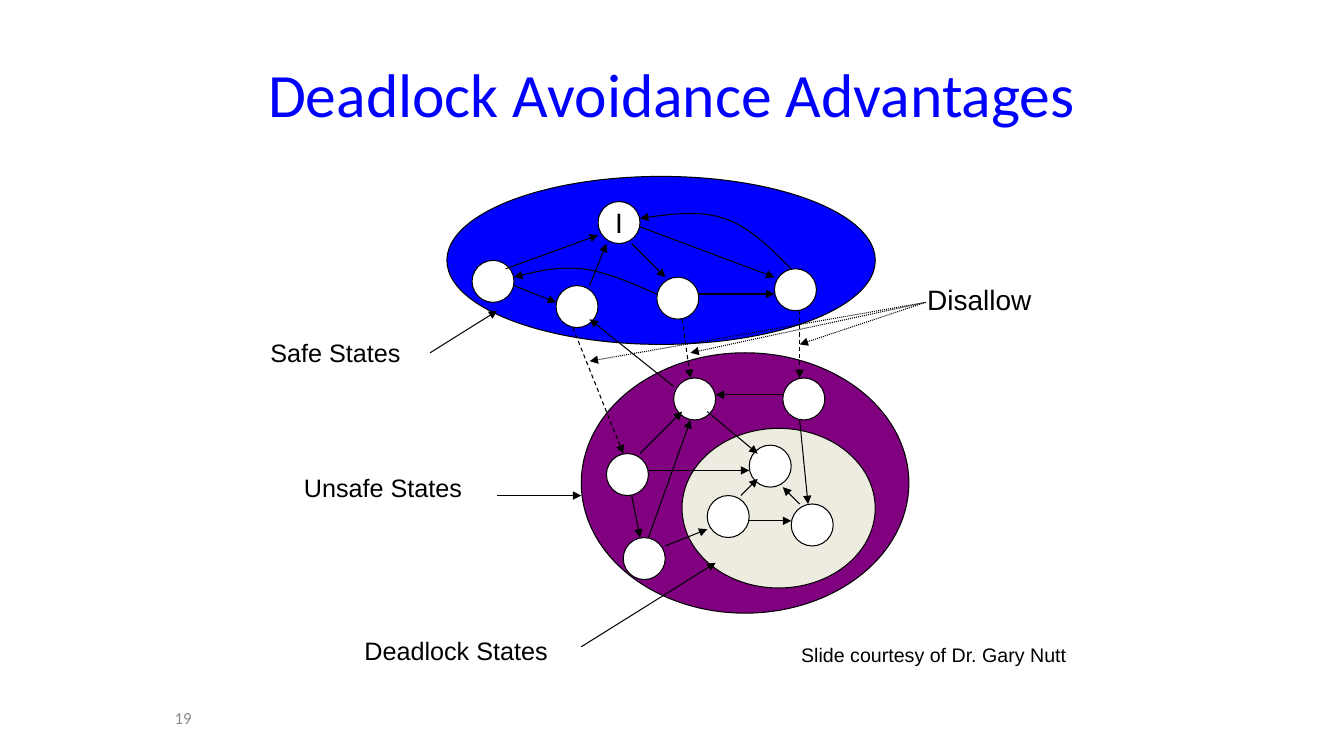
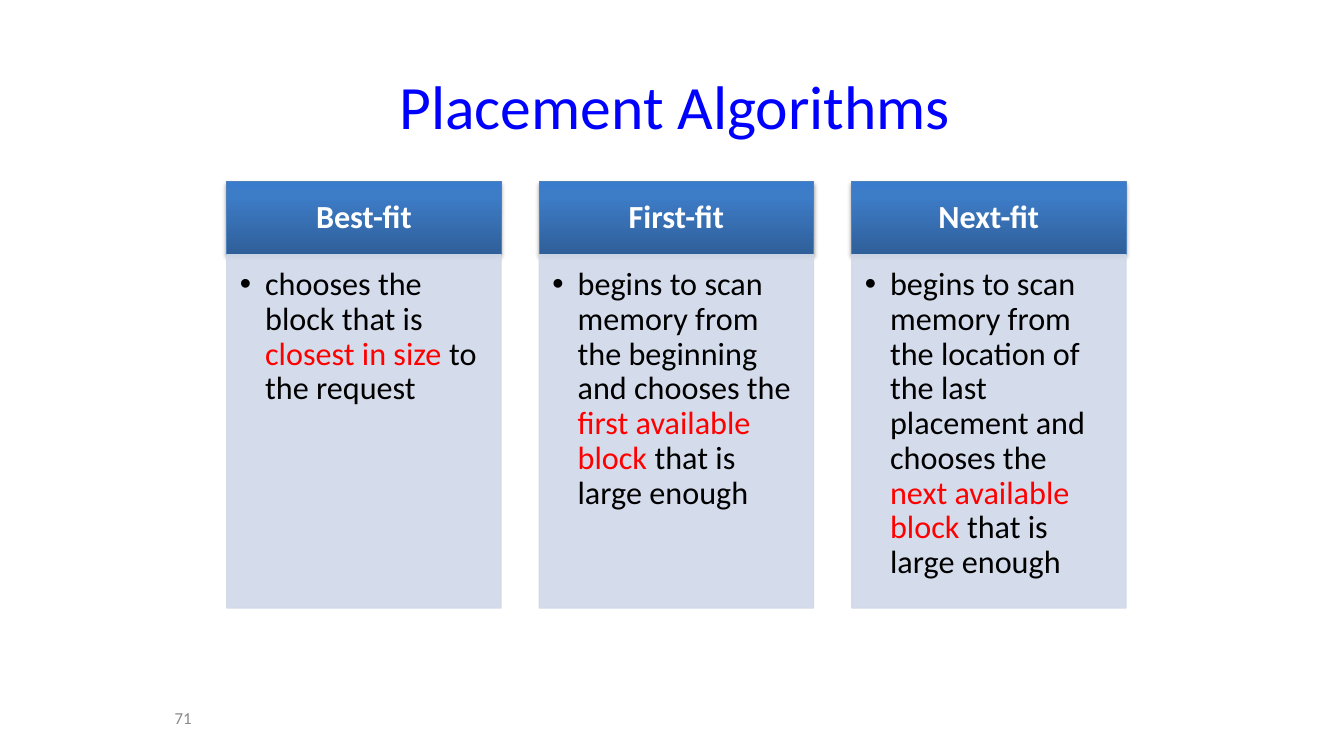
from copy import deepcopy
from pptx import Presentation
from pptx.dml.color import RGBColor as RGB
from pptx.enum.dml import MSO_LINE as Dash
from pptx.enum.shapes import MSO_CONNECTOR as Link, MSO_SHAPE as Kind
from pptx.enum.text import MSO_ANCHOR as Anchor, PP_ALIGN as Align
from pptx.oxml.ns import qn
from pptx.oxml.xmlchemy import OxmlElement as Elem
from pptx.util import Pt

BLACK = RGB(0x00, 0x00, 0x00)
WHITE = RGB(0xFF, 0xFF, 0xFF)
BLUE = RGB(0x00, 0x00, 0xFF)
RED = RGB(0xFF, 0x00, 0x00)
PURPLE = RGB(0x80, 0x00, 0x80)
CREAM = RGB(0xEE, 0xEC, 0xE1)
GRAY = RGB(0x89, 0x89, 0x89)
PALE = RGB(0xD0, 0xD8, 0xE8)
EDGE = RGB(0x4F, 0x81, 0xBD)
SHADES = [(0, RGB(0x2F, 0x5F, 0x99)), (0.8, RGB(0x3D, 0x7C, 0xC7)),
          (1, RGB(0x3A, 0x7C, 0xCB))]
INSET = (7.2, 3.6, 7.2, 3.6)

# State diagram, in grid units of 6 points
UNIT, SHIFT, NODE = 6, 1.2, 5
ZONES = [(53, 21, 51, 20, BLUE), (69, 42, 39, 31, PURPLE), (81, 51, 23, 19, CREAM)]
NODES = [(56, 31), (92, 32), (78, 33), (66, 34), (71, 24), (74, 64),
         (93, 45), (80, 45), (72, 54), (94, 60), (84, 59), (89, 53)]
START = (71, 24)
SOLID = [
    (89, 62, 94, 62), (88, 59, 90, 57), (95, 60, 93, 58), (79, 65, 84, 63),
    (75, 59, 76, 64), (61, 34, 66, 36), (60, 32, 71, 28), (75, 29, 79, 33),
    (70, 34, 72, 29), (83, 35, 92, 35), (76, 27, 92, 33), (80, 46, 70, 38),
    (77, 56, 89, 56), (76, 54, 81, 49), (95, 50, 96, 60), (84, 49, 90, 54),
    (93, 47, 85, 47), (77, 64, 82, 50),
    (69, 77, 85, 67), (59, 59, 69, 59), (51, 42, 59, 37)]
DASHED = [(81, 38, 82, 45), (68, 39, 74, 54), (95, 37, 95, 45)]
DOTTED = [(110, 36, 70, 43), (110, 36, 82, 42), (110, 36, 95, 41)]
CURVES = [
    [(78, 35), (75, 33.7), (71.8, 32.3), (69, 32), (66.2, 31.7), (63.6, 32.3), (61, 33)],
    [(94, 32), (91.5, 29.5), (89, 27), (86, 26), (83, 25), (79.5, 25.5), (76, 26)]]
LABELS = [("Safe States", 186, 237.6, 18), ("Unsafe States", 210, 333.6, 18),
          ("Deadlock States", 253.2, 450, 18), ("Disallow", 655.2, 198, 20),
          ("Slide courtesy of Dr. Gary Nutt", 565.2, 456, 14)]

# Cards: heading, then text before, in and after the red phrase
CARDS = [
    ("Best-fit", "chooses the block that is ", "closest in size ", "to the request"),
    ("First-fit", "begins to scan memory from the beginning and chooses the ",
     "first available block", " that is large enough"),
    ("Next-fit", "begins to scan memory from the location of the last placement "
     "and chooses the ", "next available block", " that is large enough")]
LEFT, STEP, WIDE = 162, 223.2, 196
TOP, HEAD, BODY = 129.8, 52, 252.6


def write(shape, parts, size, font="Calibri", align=Align.LEFT,
          anchor=Anchor.TOP, inset=INSET, bold=False, wrap=True):
    """Fill one paragraph with (text, colour) runs."""
    frame = shape.text_frame
    frame.word_wrap, frame.vertical_anchor = wrap, anchor
    (frame.margin_left, frame.margin_top,
     frame.margin_right, frame.margin_bottom) = map(Pt, inset)
    para = frame.paragraphs[0]
    para.alignment = align
    for text, color in parts:
        run = para.add_run()
        run.text = text
        run.font.name, run.font.size, run.font.bold = font, Pt(size), bold
        run.font.color.rgb = color
    return para


def label(slide, box, *args, **style):
    write(slide.shapes.add_textbox(*map(Pt, box)), *args, **style)


def draw(slide, kind, box, fill, edge=BLACK):
    shape = slide.shapes.add_shape(kind, *map(Pt, box))
    shape.shadow.inherit = False
    shape.fill.solid()
    shape.fill.fore_color.rgb = fill
    shape.line.color.rgb, shape.line.width = edge, Pt(0.75)
    return shape


def add(parent, tag, **attrs):
    child = Elem(tag)
    for key, value in attrs.items():
        child.set(key, str(value))
    parent.append(child)
    return child


def point(x, y):
    return Pt(x * UNIT + SHIFT), Pt(y * UNIT)


def tip(line, dash=None):
    """Style a line and give it an arrowhead."""
    line.line.color.rgb, line.line.width = BLACK, Pt(0.75)
    line.line.dash_style = dash
    add(line.element.spPr.find(qn("a:ln")), "a:tailEnd", type="triangle")


def arrow(slide, ends, dash):
    line = slide.shapes.add_connector(Link.STRAIGHT, *point(*ends[:2]), *point(*ends[2:]))
    tip(line, dash)
    add(line.element.spPr, "a:effectLst")


def curve(slide, knots, steps=16):
    """Trace a chain of cubic curves."""
    dots = []
    for i in range(0, len(knots) - 1, 3):
        for k in range(1, steps + 1):
            t = k / steps
            mix = ((1 - t) ** 3, 3 * t * (1 - t) ** 2, 3 * t * t * (1 - t), t ** 3)
            dots.append(point(*(sum(m * p[axis] for m, p in zip(mix, knots[i:i + 4]))
                                for axis in (0, 1))))
    form = slide.shapes.build_freeform(*point(*knots[0]))
    form.add_line_segments(dots, close=False)
    shape = form.convert_to_shape()
    shape.fill.background()
    shape.shadow.inherit = False
    tip(shape)


def shade(shape):
    """Three-stop gradient with a soft shadow below."""
    shape.fill.gradient()
    shape.fill.gradient_angle = 90
    stops = shape.element.spPr.find(".//" + qn("a:gsLst"))
    stops.append(deepcopy(stops[-1]))
    for stop, (place, color) in zip(shape.fill.gradient_stops, SHADES):
        stop.position, stop.color.rgb = place, color
    glow = add(shape.element.spPr.find(qn("a:effectLst")), "a:outerShdw",
               blurRad=Pt(3.1), dist=Pt(1.8), dir=5400000, rotWithShape=0)
    add(add(glow, "a:srgbClr", val=BLACK), "a:alpha", val=35000)


def page(deck, title, box, number):
    """Blank slide with title and slide number."""
    slide = deck.slides.add_slide(deck.slide_layouts[6])
    label(slide, box, [(title, BLUE)], 44, align=Align.CENTER, anchor=Anchor.MIDDLE)
    label(slide, (40.3, 498.2, 103.7, 28.8), [(number, GRAY)], 12,
          align=Align.RIGHT, anchor=Anchor.MIDDLE)
    return slide


def states(deck):
    slide = page(deck, "Deadlock Avoidance Advantages", (48, 21.6, 864, 90), "19")
    for x, y, w, h, fill in ZONES + [(*spot, NODE, NODE, WHITE) for spot in NODES]:
        box = (x * UNIT + SHIFT, y * UNIT, w * UNIT, h * UNIT)
        oval = draw(slide, Kind.OVAL, box, fill)
        if (x, y) == START:
            write(oval, [("I", BLACK)], 20, "Arial", Align.CENTER, Anchor.MIDDLE,
                  wrap=False)
    for group, dash in ((SOLID, None), (DASHED, Dash.DASH), (DOTTED, Dash.ROUND_DOT)):
        for ends in group:
            arrow(slide, ends, dash)
    for knots in CURVES:
        curve(slide, knots)
    for text, x, y, size in LABELS:
        label(slide, (x, y, 216, 28.8), [(text, BLACK)], size, "Arial")


def cards(deck):
    slide = page(deck, "Placement Algorithms", (174.2, 30.2, 616.3, 90), "71")
    for i, (name, before, phrase, after) in enumerate(CARDS):
        x = LEFT + i * STEP
        # Heading band
        head = draw(slide, Kind.RECTANGLE, (x, TOP, WIDE, HEAD), EDGE, EDGE)
        shade(head)
        para = write(head, [(name, WHITE)], 23, align=Align.CENTER,
                     anchor=Anchor.MIDDLE, inset=(13, 7.2, 13, 7.2), bold=True)
        para.line_spacing = 0.9
        # Bulleted body
        body = draw(slide, Kind.RECTANGLE, (x, TOP + HEAD, WIDE, BODY), PALE, PALE)
        for color in body.element.spPr.iter(qn("a:srgbClr")):
            add(color, "a:alpha", val=90000)
        para = write(body, [(before, BLACK), (phrase, RED), (after, BLACK)], 23,
                     inset=(9.4, 9.4, 13, 14.4))
        props = para._p.get_or_add_pPr()
        props.set("marL", str(Pt(18)))
        props.set("indent", str(Pt(-18)))
        add(props, "a:buFont", typeface="Arial")
        add(props, "a:buChar", char="•")
        para.line_spacing = 0.9


def main():
    deck = Presentation()
    deck.slide_width, deck.slide_height = Pt(960), Pt(540)
    states(deck)
    cards(deck)
    deck.save("out.pptx")


if __name__ == "__main__":
    main()
